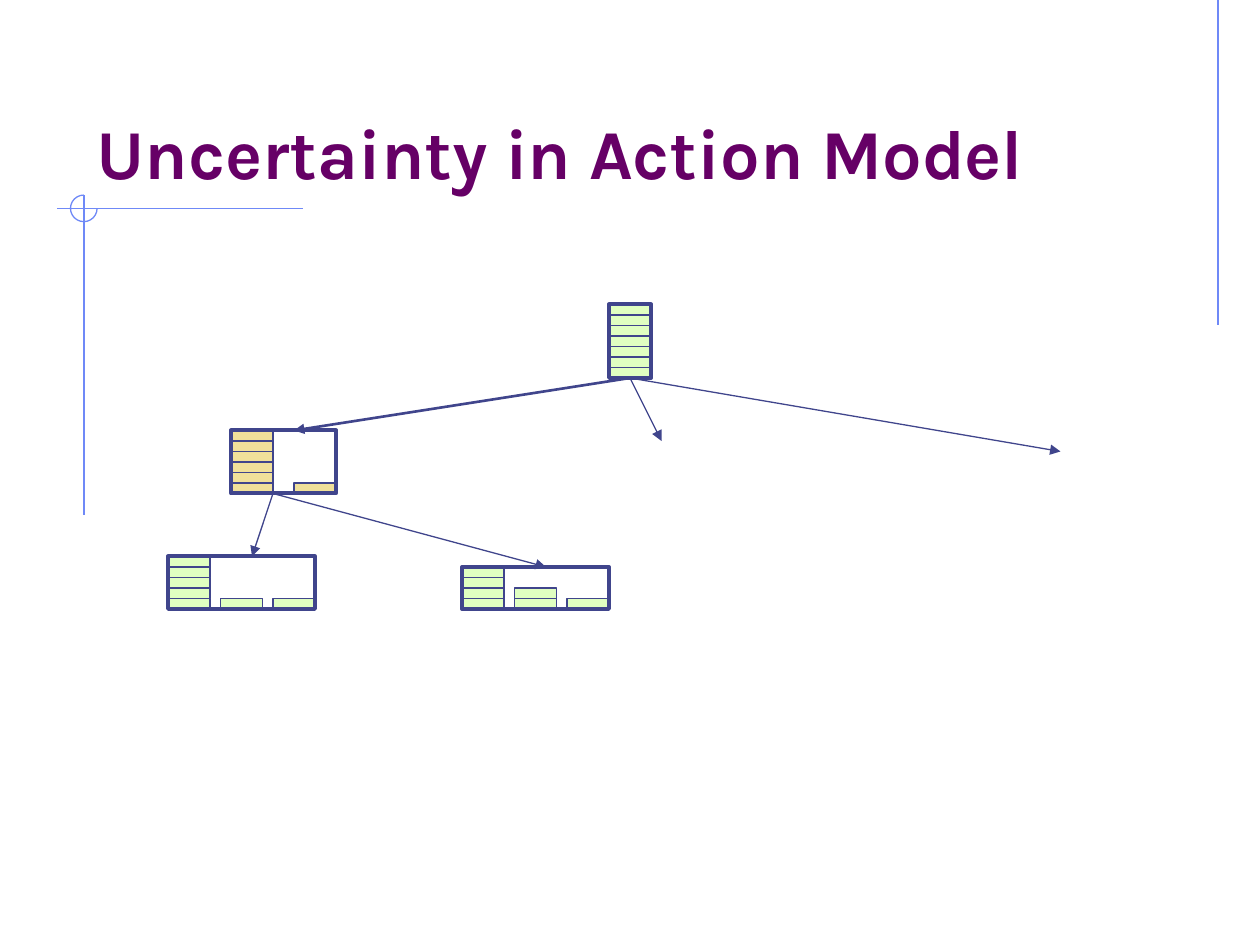
from lxml import etree
from pptx import Presentation
from pptx.dml.color import RGBColor
from pptx.enum.shapes import MSO_CONNECTOR as CONNECTOR, MSO_SHAPE as SHAPE
from pptx.enum.text import MSO_ANCHOR as ANCHOR
from pptx.oxml.ns import qn
from pptx.util import Pt

INK, RULE, PURPLE = "40458C", "6F89F7", "660066"
GREEN, TAN = "E0FFC1", "F0E09A"
BLOCK_W, BLOCK_H = 24, 6

prs = Presentation()
prs.slide_width, prs.slide_height = Pt(720), Pt(540)
slide = prs.slides.add_slide(prs.slide_layouts[6])
shapes = slide.shapes


def paint(shape, line, weight, fill=None):
    """Set outline and fill; without a fill colour the shape is see-through."""
    shape.shadow.inherit = False
    shape.line.color.rgb = RGBColor.from_string(line)
    shape.line.width = Pt(weight)
    if fill:
        shape.fill.solid()
        shape.fill.fore_color.rgb = RGBColor.from_string(fill)
    else:
        shape.fill.background()


def add_line(start, end, color, weight, arrow=False):
    line = shapes.add_connector(CONNECTOR.STRAIGHT, *map(Pt, start + end))
    line.line.color.rgb = RGBColor.from_string(color)
    line.line.width = Pt(weight)
    properties = line.line._get_or_add_ln()
    if arrow:
        etree.SubElement(properties, qn("a:tailEnd"), type="triangle")
    etree.SubElement(line._element.spPr, qn("a:effectLst"))
    return line


# Decorative rules and the three-quarter circle
for start, end in [((696, 0), (696, 186)),
                   ((173, 119), (32.5, 119)),
                   ((48, 111.5), (48, 294.5))]:
    add_line(start, end, RULE, 0.75)
ring = shapes.add_shape(SHAPE.ARC, Pt(40.3), Pt(111.5), Pt(15.2), Pt(15.2))
ring.adjustments[0], ring.adjustments[1] = 0, 162  # 0 to 270 degrees
paint(ring, RULE, 0.75)

# Title
title = shapes.add_textbox(Pt(48), Pt(24), Pt(612), Pt(90)).text_frame
title.word_wrap = True
title.vertical_anchor = ANCHOR.BOTTOM
heading = title.paragraphs[0]
heading.text = "Uncertainty in Action Model"
heading_format = {"name": "Karla", "size": Pt(40), "bold": True}
for attribute, value in heading_format.items():
    setattr(heading.font, attribute, value)
heading.font.color.rgb = RGBColor.from_string(PURPLE)

# States: left, bottom, width, fill, blocks per stack keyed by stack offset
states = {
    "root": (348, 216, 24, GREEN, {0: 7}),
    "split": (132, 282, 60, TAN, {0: 6, 36: 1}),
    "spread": (96, 348, 84, GREEN, {0: 5, 30: 1, 60: 1}),
    "piled": (264, 348, 84, GREEN, {0: 4, 30: 2, 60: 1}),
}
frames = {}
for state, (left, bottom, width, fill, stacks) in states.items():
    for offset, count in stacks.items():
        for level in range(1, count + 1):
            block = shapes.add_shape(
                SHAPE.RECTANGLE, Pt(left + offset), Pt(bottom - level * BLOCK_H),
                Pt(BLOCK_W), Pt(BLOCK_H))
            paint(block, INK, 0.75, fill)
    height = max(stacks.values()) * BLOCK_H
    frames[state] = shapes.add_shape(
        SHAPE.RECTANGLE, Pt(left), Pt(bottom - height), Pt(width), Pt(height))
    paint(frames[state], INK, 2.25)

# Actions leading from state to state
root_exit, split_exit = (360, 216), (156, 282)
for target, weight in [((168, 246), 1.5), ((180 * 2 + 18, 252), 0.75), ((606, 258), 0.75)]:
    action = add_line(root_exit, target, INK, weight, arrow=True)
    action.begin_connect(frames["root"], 2)
for target in [(144, 318), (312, 324)]:
    add_line(split_exit, target, INK, 0.75, arrow=True)

prs.save("out.pptx")
